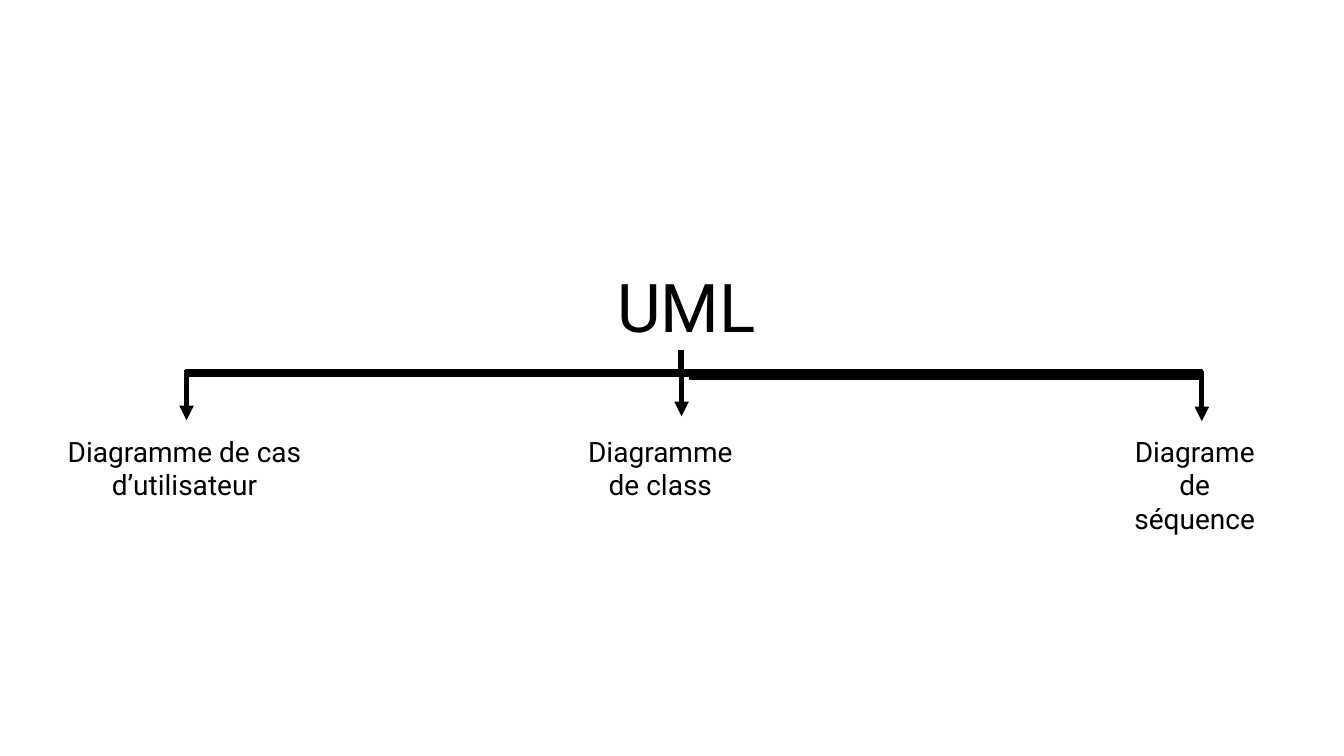
import dataclasses

import pptx
import pptx.dml.color
import pptx.enum.shapes
import pptx.enum.text
import pptx.oxml
import pptx.oxml.ns
import pptx.util

Inches = pptx.util.Inches
COLORS = {"ink": "000000", "paper": "FFFFFF"}
FONT = "Roboto"


@dataclasses.dataclass(frozen=True)
class Area:
    left: float
    top: float
    width: float
    height: float


@dataclasses.dataclass(frozen=True)
class Branch:
    label: str
    area: Area
    arrow_x: float
    arrow_top: float
    arrow_bottom: float


TITLE_AREA = Area(5.08, 2.6, 3.46, 0.86)
BARS = [
    Area(6.73, 3.48, 0.05, 0.25),
    Area(6.84, 3.67, 5.08, 0.09),
    Area(1.84, 3.67, 5.03, 0.06),
]
BRANCHES = [
    Branch("Diagramme de cas d’utilisateur", Area(0.42, 4.26, 2.82, 1.12), 1.85, 3.67, 4.17),
    Branch("Diagramme de class", Area(5.72, 4.26, 1.66, 0.59), 6.76, 3.7, 4.13),
    Branch("Diagrame de séquence", Area(11.02, 4.26, 1.66, 0.59), 11.92, 3.68, 4.18),
]


def color(name: str) -> pptx.dml.color.RGBColor:
    return pptx.dml.color.RGBColor.from_string(COLORS[name])


def bounds(area: Area) -> tuple:
    return tuple(Inches(length) for length in dataclasses.astuple(area))


def write_text(box, text: str, *, size: float,
               anchor=pptx.enum.text.MSO_ANCHOR.TOP) -> None:
    frame = box.text_frame
    frame.word_wrap = True
    frame.auto_size = pptx.enum.text.MSO_AUTO_SIZE.NONE
    frame.vertical_anchor = anchor
    para = frame.paragraphs[0]
    para.alignment = pptx.enum.text.PP_ALIGN.CENTER
    para.line_spacing = 1.0
    span = para.add_run()
    span.text = text
    span.font.name = FONT
    span.font.size = pptx.util.Pt(size)
    span.font.color.rgb = color("ink")


def draw_bar(page, area: Area) -> None:
    bar = page.shapes.add_shape(pptx.enum.shapes.MSO_SHAPE.RECTANGLE, *bounds(area))
    bar.shadow.inherit = False
    bar.fill.solid()
    bar.fill.fore_color.rgb = color("ink")
    bar.line.color.rgb = color("ink")
    bar.line.width = pptx.util.Pt(1)


def draw_branch(page, branch: Branch) -> None:
    """Draw the downward arrow and the label below it."""
    arrow = page.shapes.add_connector(
        pptx.enum.shapes.MSO_CONNECTOR.STRAIGHT,
        Inches(branch.arrow_x), Inches(branch.arrow_top),
        Inches(branch.arrow_x), Inches(branch.arrow_bottom))
    arrow.line.color.rgb = color("ink")
    arrow.line.width = pptx.util.Pt(3.5)
    namespace = pptx.oxml.ns.nsdecls("a")
    arrow.line._get_or_add_ln().append(
        pptx.oxml.parse_xml(f'<a:tailEnd {namespace} type="triangle"/>'))
    arrow._element.spPr.append(pptx.oxml.parse_xml(f"<a:effectLst {namespace}/>"))
    label = page.shapes.add_textbox(*bounds(branch.area))
    write_text(label, branch.label, size=20)


def main() -> None:
    deck = pptx.Presentation()
    deck.slide_width, deck.slide_height = Inches(13.33), Inches(7.5)
    page = deck.slides.add_slide(deck.slide_layouts.get_by_name("Title Only"))
    page.background.fill.solid()
    page.background.fill.fore_color.rgb = color("paper")
    title = page.shapes.title
    title.left, title.top, title.width, title.height = bounds(TITLE_AREA)
    write_text(title, "UML", size=48, anchor=pptx.enum.text.MSO_ANCHOR.MIDDLE)
    for bar_area in BARS:
        draw_bar(page, bar_area)
    for branch in BRANCHES:
        draw_branch(page, branch)
    deck.save("out.pptx")


if __name__ == "__main__":
    main()
